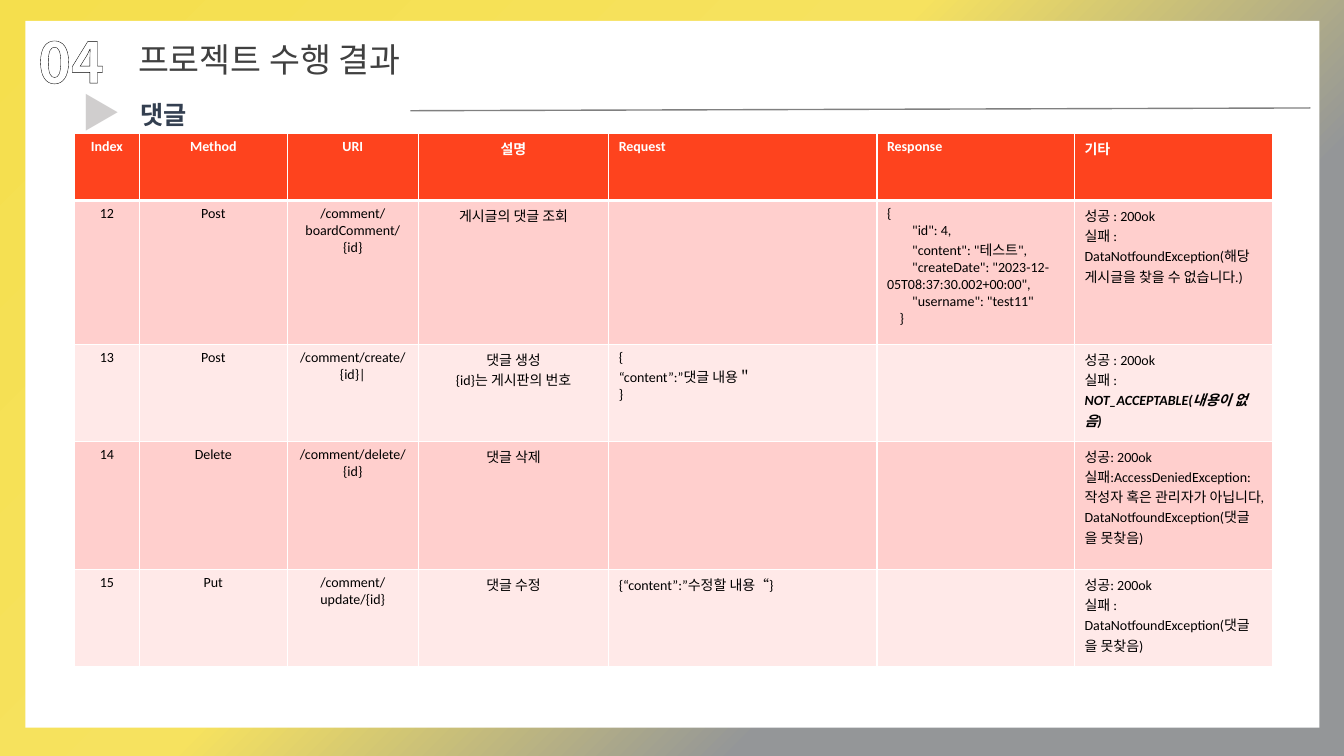
from lxml.etree import SubElement
from pptx import Presentation
from pptx.dml.color import RGBColor
from pptx.enum.dml import MSO_PATTERN
from pptx.enum.shapes import MSO_CONNECTOR, MSO_SHAPE
from pptx.enum.text import MSO_AUTO_SIZE, PP_ALIGN
from pptx.oxml import parse_xml
from pptx.oxml.ns import nsdecls, qn
from pptx.util import Cm, Pt

WHITE = RGBColor(0xFF, 0xFF, 0xFF)
BLACK = RGBColor(0x00, 0x00, 0x00)
RULE_GREY = RGBColor(0x80, 0x80, 0x80)
TITLE_GREY = RGBColor(0x40, 0x40, 0x40)
NAVY = RGBColor(0x33, 0x3F, 0x50)
DARK = RGBColor(0x3B, 0x38, 0x38)
STEEL = RGBColor(0x93, 0x95, 0x97)
SILVER = RGBColor(0xD0, 0xCE, 0xCE)
HEADER_RED = RGBColor(0xFE, 0x43, 0x1E)
ROW_PINKS = [RGBColor(0xFF, 0xE9, 0xE8), RGBColor(0xFF, 0xCF, 0xCD)]
KOREAN_FONT = "Noto Sans CJK KR"


def style_run(run, size, font_name, color=None, bold=False, italic=False):
    font = run.font
    font.size, font.name, font.bold, font.italic = Pt(size), font_name, bold, italic
    if color is not None:
        font.color.rgb = color
    latin = font._element.find(qn("a:latin"))
    latin.addnext(parse_xml(f'<a:ea {nsdecls("a")} typeface="{KOREAN_FONT}"/>'))


def add_label(text, left, top, width, height, wrap=True):
    """Add a one-line text box and return its run."""
    frame = slide.shapes.add_textbox(Cm(left), Cm(top), Cm(width), Cm(height)).text_frame
    frame.word_wrap = wrap
    frame.auto_size = MSO_AUTO_SIZE.SHAPE_TO_FIT_TEXT
    frame.text = text
    return frame.paragraphs[0].runs[0]


presentation = Presentation()
presentation.slide_width, presentation.slide_height = Cm(33.87), Cm(19.05)
slide = presentation.slides.add_slide(presentation.slide_layouts[6])

# Background gradient: position and opacity in percent
slide.background.fill.gradient()
gradient = slide.element.find(".//" + qn("a:gradFill"))
for part in list(gradient):
    gradient.remove(part)
stops = SubElement(gradient, qn("a:gsLst"))
for position, color, opacity in [(0, "F5DF4D", 100), (44, "F6E25F", 70),
                                 (71, "949698", 70), (100, "939597", 100)]:
    stop = SubElement(stops, qn("a:gs"), pos=str(position * 1000))
    stop_color = SubElement(stop, qn("a:srgbClr"), val=color)
    if opacity < 100:
        SubElement(stop_color, qn("a:alpha"), val=str(opacity * 1000))
SubElement(gradient, qn("a:lin"), ang=str(45 * 60000), scaled="0")

panel = slide.shapes.add_shape(MSO_SHAPE.RECTANGLE, Cm(0.64), Cm(0.53), Cm(32.61), Cm(17.81))
panel.shadow.inherit = False
panel.fill.solid()
panel.fill.fore_color.rgb = WHITE
panel.line.fill.background()

# Heading
style_run(add_label("댓글", 3.28, 2.39, 22.94, 1.7), 18, "Arial", NAVY, bold=True)

marker = add_label("▶", 1.8, 2.11, 1.4, 1.45)
section_number = add_label("04", 0.71, 0.56, 3.23, 1.96)
for run, size, hatch, ground, outline, outline_width in [
        (marker, 28, STEEL, SILVER, STEEL, 1),
        (section_number, 40, DARK, WHITE, BLACK, 1.25)]:
    style_run(run, size, KOREAN_FONT, bold=True)
    run.font.fill.patterned()
    run.font.fill.pattern = MSO_PATTERN.DARK_UPWARD_DIAGONAL
    run.font.fill.fore_color.rgb = hatch
    run.font.fill.back_color.rgb = ground
    run.font._element.insert(0, parse_xml(
        f'<a:ln {nsdecls("a")} w="{Pt(outline_width)}"><a:solidFill>'
        f'<a:srgbClr val="{outline}"/></a:solidFill></a:ln>'))

style_run(add_label("프로젝트 수행 결과", 3.23, 0.86, 8.2, 1.27, wrap=False),
          24, KOREAN_FONT, TITLE_GREY)

rule = slide.shapes.add_connector(MSO_CONNECTOR.STRAIGHT, Cm(10.34), Cm(2.79), Cm(33.02), Cm(2.72))
rule.line.color.rgb = RULE_GREY
rule.line.width = Pt(1)
SubElement(rule._element.spPr, qn("a:effectLst"))

# API table
comment_json = """{
        "id": 4,
        "content": "테스트",
        "createDate": "2023-12-05T08:37:30.002+00:00",
        "username": "test11"
    }"""
api_rows = [
    ["Index", "Method", "URI", "설명", "Request", "Response", "기타"],
    ["12", "Post", "/comment/boardComment/{id}", "게시글의 댓글 조회", "", comment_json,
     "성공 : 200ok\n실패 : DataNotfoundException(해당 게시글을 찾을 수 없습니다.)"],
    ["13", "Post", "/comment/create/{id}|", "댓글 생성\n{id}는 게시판의 번호",
     "{\n“content”:”댓글 내용＂\n}", "", "성공 : 200ok\n실패 : "],
    ["14", "Delete", "/comment/delete/{id}", "댓글 삭제", "", "",
     "성공: 200ok\n실패:AccessDeniedException:작성자 혹은 관리자가 아닙니다,\n"
     "DataNotfoundException(댓글을 못찾음)"],
    ["15", "Put", "/comment/update/{id}", "댓글 수정", "{“content”:”수정할 내용“}", "",
     "성공: 200ok\n실패 : DataNotfoundException(댓글을 못찾음)"],
]
column_widths = [1.63, 3.73, 3.3, 4.8, 6.76, 4.98, 4.98]
row_heights = [1.7, 3.63, 2.44, 3.23, 2.44]
CENTERED_COLUMNS = 4

api_table = slide.shapes.add_table(
    len(row_heights), len(column_widths), Cm(1.88), Cm(3.35),
    Cm(sum(column_widths)), Cm(sum(row_heights))).table
for column, width in zip(api_table.columns, column_widths):
    column.width = Cm(width)
for row, height in zip(api_table.rows, row_heights):
    row.height = Cm(height)

for row_index, values in enumerate(api_rows):
    is_header = row_index == 0
    for column_index, value in enumerate(values):
        cell = api_table.cell(row_index, column_index)
        cell.fill.solid()
        cell.fill.fore_color.rgb = HEADER_RED if is_header else ROW_PINKS[row_index % 2]
        edge_widths = {"lnL": 1, "lnR": 1, "lnT": 3 if row_index == 1 else 1,
                       "lnB": 3 if is_header else 1}
        for order, (edge, edge_width) in enumerate(edge_widths.items()):
            cell._tc.get_or_add_tcPr().insert(order, parse_xml(
                f'<a:{edge} {nsdecls("a")} w="{Pt(edge_width)}"><a:solidFill>'
                f'<a:srgbClr val="{WHITE}"/></a:solidFill></a:{edge}>'))
        cell.text_frame.text = value
        for paragraph in cell.text_frame.paragraphs:
            if column_index < CENTERED_COLUMNS:
                paragraph.alignment = PP_ALIGN.CENTER
            for run in paragraph.runs:
                style_run(run, 10, "Calibri", WHITE if is_header else BLACK, bold=is_header)

not_acceptable = api_table.cell(2, 6).text_frame.paragraphs[1].add_run()
not_acceptable.text = "NOT_ACCEPTABLE(내용이 없음)"
style_run(not_acceptable, 10, "Calibri", BLACK, bold=True, italic=True)

presentation.save("out.pptx")
